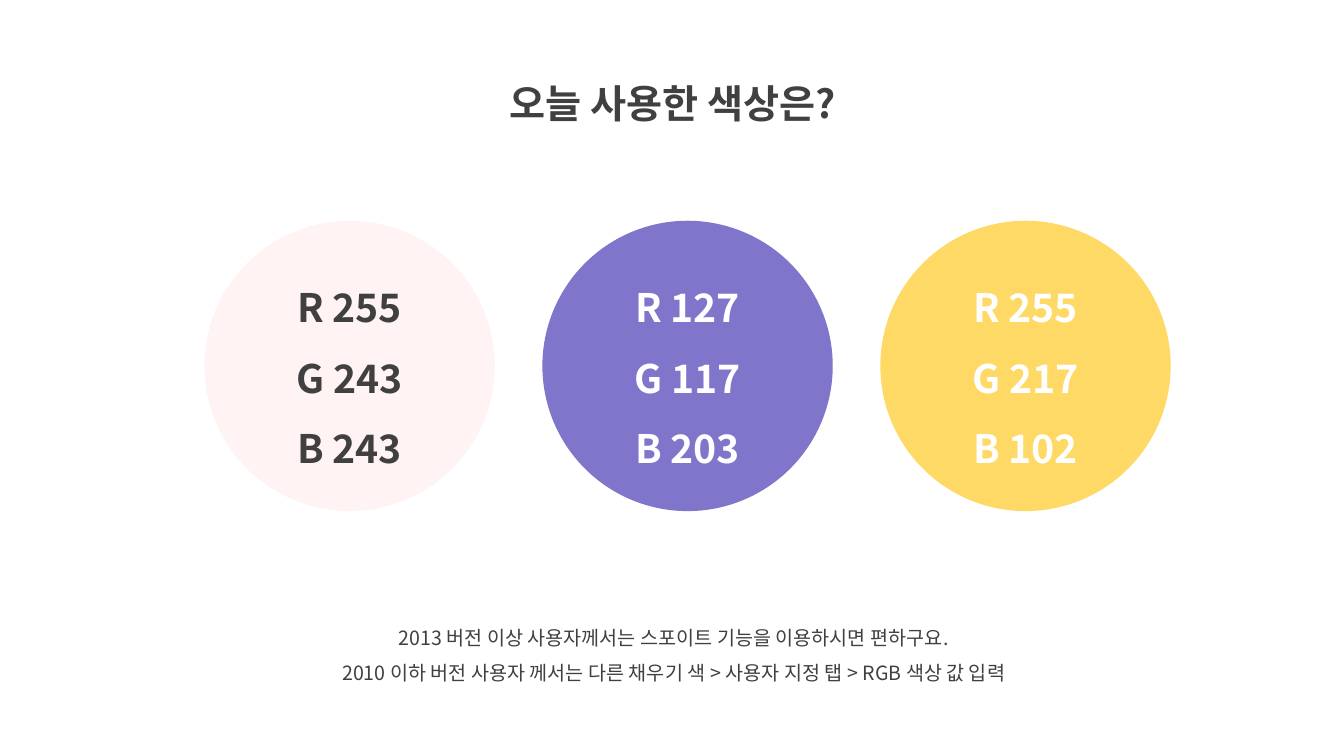
from lxml.etree import SubElement
from pptx import Presentation
from pptx.dml.color import RGBColor
from pptx.enum.shapes import MSO_SHAPE
from pptx.enum.text import MSO_ANCHOR, MSO_AUTO_SIZE, PP_ALIGN
from pptx.oxml.ns import qn
from pptx.util import Pt

FONT = "Noto Sans CJK KR"
DARK = "404040"
WHITE = "FFFFFF"
SWATCHES = [
    ((255, 243, 243), "FFF3F3", DARK),
    ((127, 117, 203), "7F75CB", WHITE),
    ((255, 217, 102), "FFD966", WHITE),
]
NOTES = [
    "2013 버전 이상 사용자께서는 스포이트 기능을 이용하시면 편하구요.",
    "2010 이하 버전 사용자 께서는 다른 채우기 색 > 사용자 지정 탭 > RGB 색상 값 입력",
]


def color(value):
    return RGBColor.from_string(value)


def write_lines(frame, lines, size, ink, bold):
    frame.word_wrap = True
    for index, line in enumerate(lines):
        para = frame.add_paragraph() if index else frame.paragraphs[0]
        para.text = line
        para.alignment = PP_ALIGN.CENTER
        para.line_spacing = 1.5
        font = para.font
        font.size = Pt(size)
        font.bold = bold
        font.color.rgb = color(ink)
        font.name = FONT
        properties = para._p.find(qn("a:pPr")).find(qn("a:defRPr"))
        SubElement(properties, qn("a:ea")).set("typeface", FONT)


def add_text(page, left, top, width, height, lines, size, bold=False):
    box = page.shapes.add_textbox(Pt(left), Pt(top), Pt(width), Pt(height))
    frame = box.text_frame
    write_lines(frame, lines, size, DARK, bold)
    frame.auto_size = MSO_AUTO_SIZE.SHAPE_TO_FIT_TEXT


def add_swatch(page, left, top, diameter, channels, fill, ink):
    circle = page.shapes.add_shape(
        MSO_SHAPE.OVAL, Pt(left), Pt(top), Pt(diameter), Pt(diameter)
    )
    circle.shadow.inherit = False
    circle.fill.solid()
    circle.fill.fore_color.rgb = color(fill)
    circle.line.fill.background()
    circle.text_frame.vertical_anchor = MSO_ANCHOR.MIDDLE
    lines = [f"{name} {value}" for name, value in zip("RGB", channels)]
    write_lines(circle.text_frame, lines, 28, ink, True)


def add_swatch_row(page, left, top, diameter, gap):
    for index, (channels, fill, ink) in enumerate(SWATCHES):
        swatch_left = left + index * (diameter + gap)
        add_swatch(page, swatch_left, top, diameter, channels, fill, ink)


def main():
    deck = Presentation()
    deck.slide_width, deck.slide_height = Pt(960), Pt(540)
    page = deck.slides.add_slide(deck.slide_layouts[6])
    add_text(page, 314, 36, 333, 52, ["오늘 사용한 색상은?"], 28, bold=True)
    add_swatch_row(page, 146, 157.7, 207.4, 34)
    add_text(page, 193.5, 435, 575.5, 58, NOTES, 14)
    deck.save("out.pptx")


if __name__ == "__main__":
    main()
